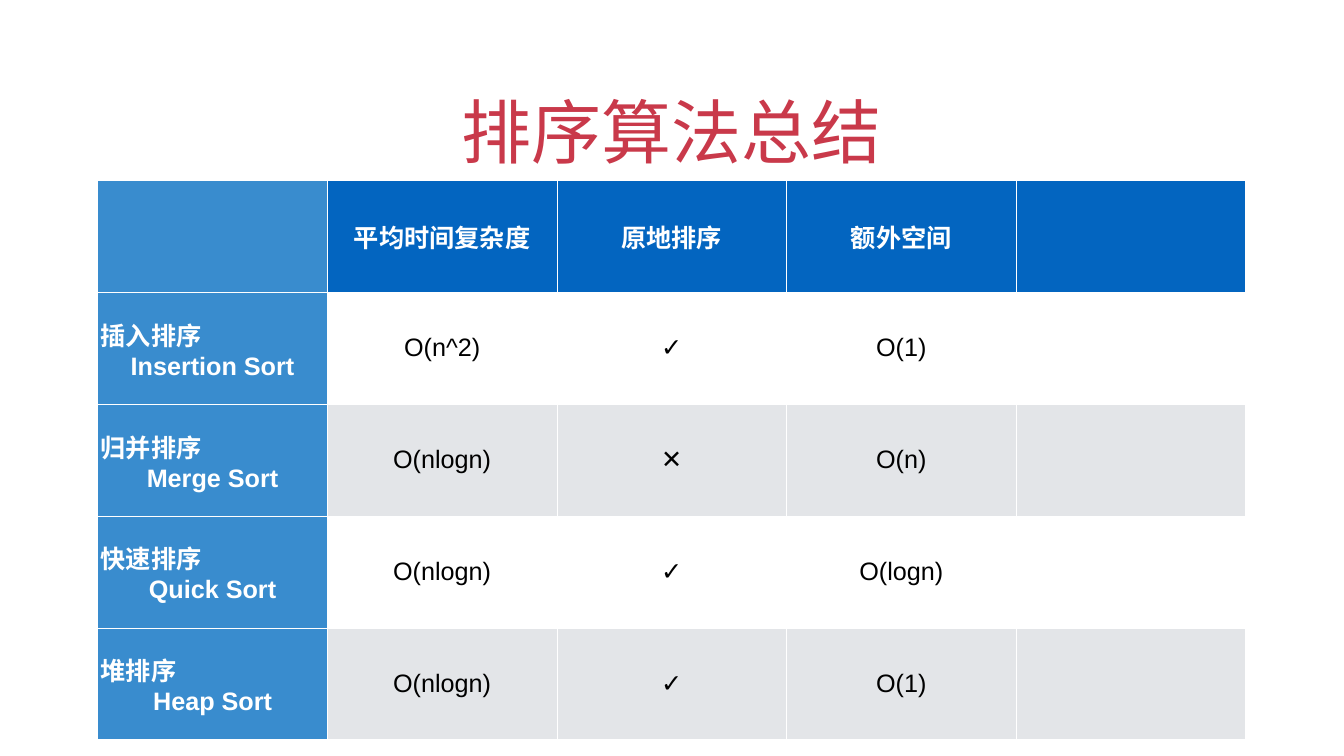
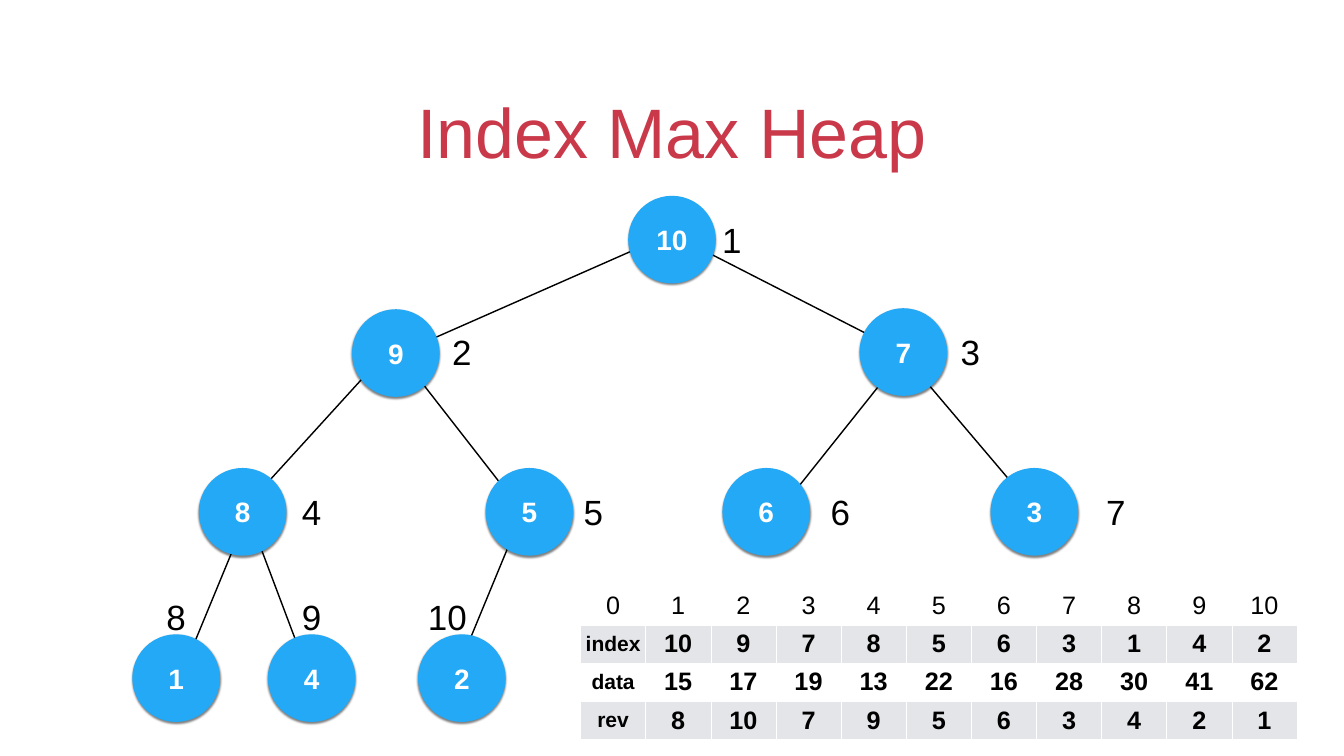
from lxml import etree
from pptx import Presentation
from pptx.dml.color import RGBColor
from pptx.enum.shapes import MSO_CONNECTOR, MSO_SHAPE
from pptx.enum.text import MSO_ANCHOR, MSO_AUTO_SIZE, PP_ALIGN
from pptx.oxml.ns import qn
from pptx.util import Inches, Pt

LEFT, CENTER = PP_ALIGN.LEFT, PP_ALIGN.CENTER
MIDDLE, BOTTOM = MSO_ANCHOR.MIDDLE, MSO_ANCHOR.BOTTOM
FIT_NONE, FIT_SHAPE = MSO_AUTO_SIZE.NONE, MSO_AUTO_SIZE.SHAPE_TO_FIT_TEXT
OVAL, STRAIGHT = MSO_SHAPE.OVAL, MSO_CONNECTOR.STRAIGHT

FONT = "Arial"
RED, NAVY, BLUE, SKY = "C9394A", "0365C0", "398CCE", "23A9F6"
BLACK, WHITE, GRAY = "000000", "FFFFFF", "E3E5E8"
PAD = 0.06
TITLE_BOX = (1.94, 1.27, 22.78, 2.22)

SORT_BOX = (1.94, 3.58, 22.78, 11.1)
SORTS = [
    ["", "平均时间复杂度", "原地排序", "额外空间", ""],
    ["插入排序\nInsertion Sort", "O(n^2)", "✓", "O(1)", ""],
    ["归并排序\nMerge Sort", "O(nlogn)", "✕", "O(n)", ""],
    ["快速排序\nQuick Sort", "O(nlogn)", "✓", "O(logn)", ""],
    ["堆排序\nHeap Sort", "O(nlogn)", "✓", "O(1)", ""],
]

HEAP_BOX = (2.66, 3.92, 19.74, 10.37)
NODE = 1.67
# Value, node left and top, label left and top, all from the heap box;
# the place in the list is the heap index.
NODES = [
    (10, 9.84, 0, 11.61, 0.36),
    (9, 4.36, 2.25, 6.25, 2.59),
    (7, 14.43, 2.23, 16.34, 2.59),
    (8, 1.32, 5.4, 3.27, 5.76),
    (5, 7.01, 5.4, 8.86, 5.76),
    (6, 11.71, 5.4, 13.76, 5.76),
    (3, 17.03, 5.4, 19.23, 5.76),
    (1, 0, 8.7, 0.58, 7.84),
    (4, 2.69, 8.7, 3.27, 7.84),
    (2, 5.67, 8.7, 5.77, 7.84),
]
EDGES = [
    (0.84, 9.7, 2.27, 6.24),
    (3.56, 9.72, 2.24, 6.22),
    (6.28, 9.7, 7.71, 6.24),
    (15.16, 3.02, 10.72, 0.75),
    (5.11, 3.16, 10.58, 0.75),
    (12.68, 6.37, 15.36, 3.01),
    (17.97, 6.31, 15.23, 3.08),
    (7.9, 6.48, 5.11, 2.9),
    (2.09, 6.27, 4.96, 3.12),
]

INDEX_BOX = (11.52, 11.65, 14.22, 3.02)
INDEX = [
    list(range(11)),
    ["index", 10, 9, 7, 8, 5, 6, 3, 1, 4, 2],
    ["data", 15, 17, 19, 13, 22, 16, 28, 30, 41, 62],
    ["rev", 8, 10, 7, 9, 5, 6, 3, 4, 2, 1],
]


def rgb(code):
    return RGBColor.from_string(code)


def paint(part, code):
    part.fill.solid()
    part.fill.fore_color.rgb = rgb(code)


def inset(part):
    """Set the same margin on all sides of a text frame or a cell."""
    part.margin_left = part.margin_right = Inches(PAD)
    part.margin_top = part.margin_bottom = Inches(PAD)


def write(frame, text, size, color, bold=False):
    frame.text = str(text)
    for para in frame.paragraphs:
        para.alignment = CENTER
        font = para.font
        font.name, font.size, font.bold = FONT, Pt(size), bold
        font.color.rgb = rgb(color)


def add_slide(deck, text):
    slide = deck.slides.add_slide(deck.slide_layouts[5])
    title = slide.shapes.title
    title.left, title.top, title.width, title.height = map(Inches, TITLE_BOX)
    frame = title.text_frame
    inset(frame)
    frame.auto_size, frame.vertical_anchor = FIT_NONE, BOTTOM
    write(frame, text, 100, RED)
    return slide


def add_grid(slide, box, rows, style):
    """Fill an even table; style(row, col) gives fill, size, color, bold."""
    shape = slide.shapes.add_table(len(rows), len(rows[0]), *map(Inches, box))
    table = shape.table
    for col in table.columns:
        col.width = Inches(box[2] / len(rows[0]))
    for row in table.rows:
        row.height = Inches(box[3] / len(rows))
    for r, row in enumerate(rows):
        for c, text in enumerate(row):
            cell = table.cell(r, c)
            fill, *look = style(r, c)
            paint(cell, fill)
            inset(cell)
            cell.vertical_anchor = MIDDLE
            write(cell.text_frame, text, *look)
    return table


def stripe(r):
    return GRAY if r % 2 else WHITE


def sort_style(r, c):
    if c == 0:
        return BLUE, 36, WHITE, True
    if r == 0:
        return NAVY, 36, WHITE, True
    return stripe(r - 1), 36, BLACK, False


def index_style(r, c):
    return stripe(r), 30 if r and c == 0 else 36, BLACK, r > 0


def add_edge(slide, ends):
    line = slide.shapes.add_connector(STRAIGHT, *map(Inches, ends))
    line.line.color.rgb = rgb(BLACK)
    line.line.width = Pt(2)
    etree.SubElement(line._element.spPr, qn("a:effectLst"))


def add_shadow(shape):
    effects = etree.SubElement(shape._element.spPr, qn("a:effectLst"))
    outer = etree.SubElement(
        effects, qn("a:outerShdw"), blurRad=str(Pt(3)), dist=str(Pt(2)),
        dir="5400000", rotWithShape="0")
    color = etree.SubElement(outer, qn("a:srgbClr"), val=BLACK)
    etree.SubElement(color, qn("a:alpha"), val="50000")


def add_node(slide, x, y, value):
    node = slide.shapes.add_shape(OVAL, *map(Inches, (x, y, NODE, NODE)))
    paint(node, SKY)
    node.line.color.rgb = rgb(SKY)
    node.line.width = Pt(5)
    add_shadow(node)
    frame = node.text_frame
    inset(frame)
    frame.vertical_anchor = MIDDLE
    write(frame, value, 40, WHITE, True)


def add_label(slide, x, y, text):
    width = 0.12 + 0.39 * len(text)
    box = slide.shapes.add_textbox(*map(Inches, (x, y, width, 0.94)))
    frame = box.text_frame
    inset(frame)
    frame.word_wrap, frame.auto_size = False, FIT_SHAPE
    frame.vertical_anchor = MIDDLE
    write(frame, text, 50, BLACK)


def draw_heap(slide, box):
    left, top = box[:2]
    for x1, y1, x2, y2 in EDGES:
        add_edge(slide, (left + x1, top + y1, left + x2, top + y2))
    for value, x, y, _, _ in NODES:
        add_node(slide, left + x, top + y, value)
    for i, (_, _, _, x, y) in enumerate(NODES, 1):
        add_label(slide, left + x, top + y, str(i))


def sort_slide(deck):
    slide = add_slide(deck, "排序算法总结")
    table = add_grid(slide, SORT_BOX, SORTS, sort_style)
    for r in range(1, len(SORTS)):
        table.cell(r, 0).text_frame.paragraphs[0].alignment = LEFT


def heap_slide(deck):
    slide = add_slide(deck, "Index Max Heap")
    draw_heap(slide, HEAP_BOX)
    add_grid(slide, INDEX_BOX, INDEX, index_style)


def main():
    deck = Presentation()
    deck.slide_width, deck.slide_height = Inches(26.67), Inches(15)
    sort_slide(deck)
    heap_slide(deck)
    deck.save("out.pptx")


if __name__ == "__main__":
    main()
